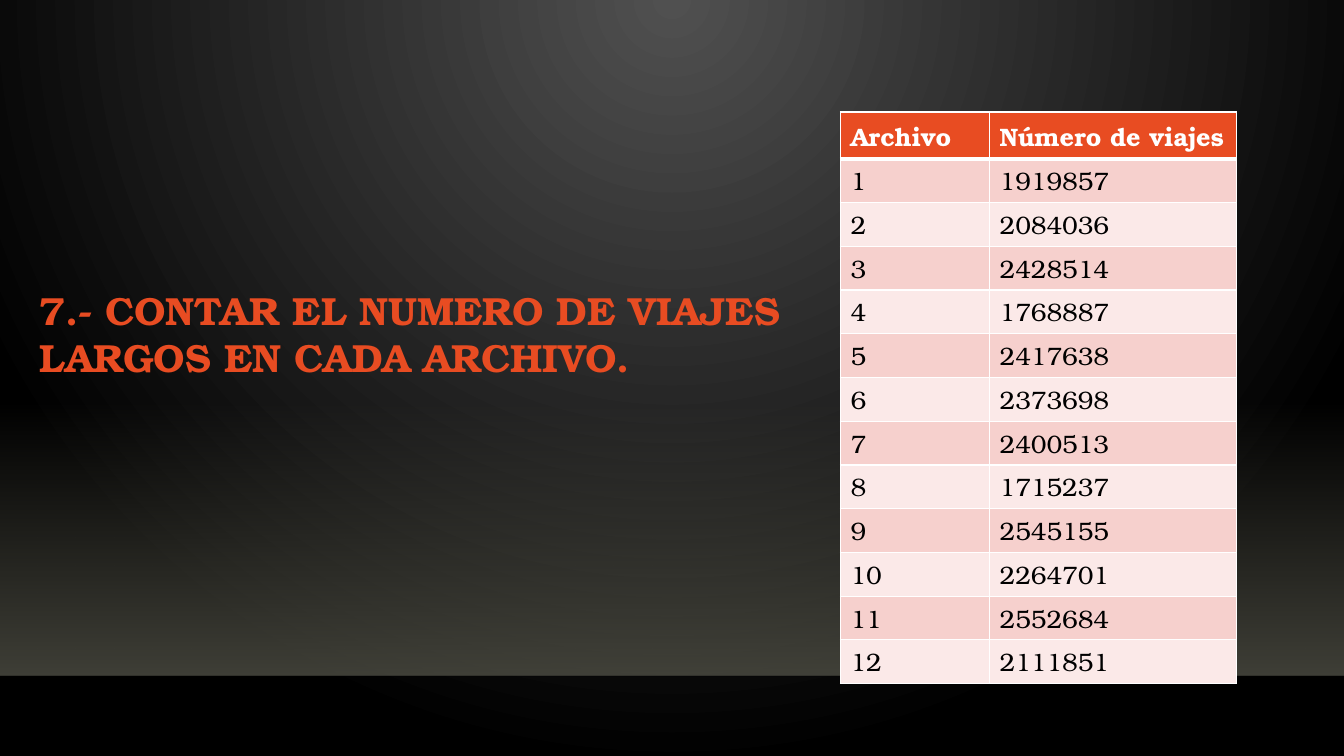
"""Build the slide that counts the long trips in each file."""
from lxml.etree import SubElement
from pptx import Presentation
from pptx.dml.color import RGBColor as RGB
from pptx.enum.shapes import MSO_CONNECTOR as CONN, MSO_SHAPE as SHAPE
from pptx.enum.text import MSO_ANCHOR as ANCHOR
from pptx.oxml import parse_xml
from pptx.oxml.ns import nsdecls, qn
from pptx.util import Cm, Pt

COLORS = {
    "accent": "E84C22", "odd": "F6D0CD", "even": "FBE9E8", "white": "FFFFFF",
    "black": "000000", "glow": "505050", "floor": "505046", "edge": "000001",
}
FONT = "TeX Gyre Bonum"
TITLE = "7.- CONTAR EL NUMERO DE VIAJES LARGOS EN CADA ARCHIVO."
HEADER = ("Archivo", "Número de viajes")
TRIPS = (1919857, 2084036, 2428514, 1768887, 2417638, 2373698,
         2400513, 1715237, 2545155, 2264701, 2552684, 2111851)
WIDTH, HEIGHT = Cm(33.87), Cm(19.05)
HORIZON = Cm(17.03)


def rgb(name):
    """Return the named colour."""
    return RGB.from_string(COLORS[name])


def apply(obj, **values):
    """Set each given attribute on the object."""
    for key, value in values.items():
        setattr(obj, key, value)


def write(p, text, size, color, bold):
    """Add one formatted run to a paragraph."""
    r = p.add_run()
    r.text = text
    apply(r.font, name=FONT, size=Pt(size), bold=bold)
    r.font.color.rgb = rgb(color)


def set_alpha(clr, percent):
    """Give a colour element an opacity."""
    SubElement(clr, qn("a:alpha")).set("val", str(percent * 1000))


def set_gradient(fill, *names):
    """Fill with a gradient between two named colours."""
    fill.gradient()
    for stop, name in zip(fill.gradient_stops, names):
        stop.color.rgb = rgb(name)


def add_background(s):
    """Paint a round glow that starts at the top centre."""
    set_gradient(s.background.fill, "glow", "black")
    grad = s.element.find(".//" + qn("a:gradFill"))
    lin = grad.find(qn("a:lin"))
    grad.replace(lin, parse_xml(
        f'<a:path {nsdecls("a")} path="circle">'
        '<a:fillToRect l="43000" t="0" r="43000" b="100000"/></a:path>'))


def add_floor(s):
    """Add the band that fades in towards the horizon."""
    top = Cm(10.06)
    sp = s.shapes.add_shape(SHAPE.RECTANGLE, 0, top, WIDTH, HORIZON - top)
    sp.shadow.inherit = False
    sp.line.fill.background()
    set_gradient(sp.fill, "floor", "floor")
    sp.fill.gradient_angle = 270
    for clr, percent in zip(sp.element.spPr.iter(qn("a:srgbClr")), (0, 80)):
        set_alpha(clr, percent)


def add_horizon(s):
    """Add the faint line under the floor band."""
    line = s.shapes.add_connector(CONN.STRAIGHT, 0, HORIZON, WIDTH, HORIZON)
    line.line.width = Pt(1)
    line.line.color.rgb = rgb("edge")
    spPr = line.element.spPr
    set_alpha(spPr.find(".//" + qn("a:srgbClr")), 20)
    SubElement(spPr, qn("a:effectLst"))


def add_title(s):
    """Add the heading on the left."""
    tf = s.shapes.add_textbox(Cm(0.74), Cm(5.84), Cm(20.45), Cm(4.62)).text_frame
    apply(tf, word_wrap=True, vertical_anchor=ANCHOR.MIDDLE, margin_top=Cm(0.64))
    write(tf.paragraphs[0], TITLE, 28, "accent", True)


def set_borders(cell, **widths):
    """Draw white cell borders of the given point widths."""
    tcPr = cell._tc.get_or_add_tcPr()
    for i, side in enumerate("LRTB"):
        width = Pt(widths.get(side, 1))
        tcPr.insert(i, parse_xml(
            f'<a:ln{side} {nsdecls("a")} w="{width}"><a:solidFill>'
            f'<a:srgbClr val="{COLORS["white"]}"/></a:solidFill></a:ln{side}>'))


def add_trip_table(s):
    """Add the table of trips per file."""
    rows = [HEADER, *((str(n), str(trips)) for n, trips in enumerate(TRIPS, 1))]
    table = s.shapes.add_table(
        len(rows), len(HEADER), Cm(21.18), Cm(2.82), Cm(9.98), Cm(14.38)).table
    for col, width in zip(table.columns, (3.76, 6.22)):
        col.width = Cm(width)
    for i, texts in enumerate(rows):
        table.rows[i].height = Cm(1.1 if i else 1.18)
        fill = ("even", "odd")[i % 2] if i else "accent"
        widths = {0: {"B": 3}, 1: {"T": 3}}.get(i, {})
        for j, text in enumerate(texts):
            cell = table.cell(i, j)
            cell.fill.solid()
            cell.fill.fore_color.rgb = rgb(fill)
            set_borders(cell, **widths)
            write(cell.text_frame.paragraphs[0], text, 18,
                  "black" if i else "white", i == 0)


def main():
    """Build and save the slide."""
    prs = Presentation()
    apply(prs, slide_width=WIDTH, slide_height=HEIGHT)
    s = prs.slides.add_slide(prs.slide_layouts[6])
    for add in (add_background, add_floor, add_horizon, add_trip_table, add_title):
        add(s)
    prs.save("out.pptx")


main()
